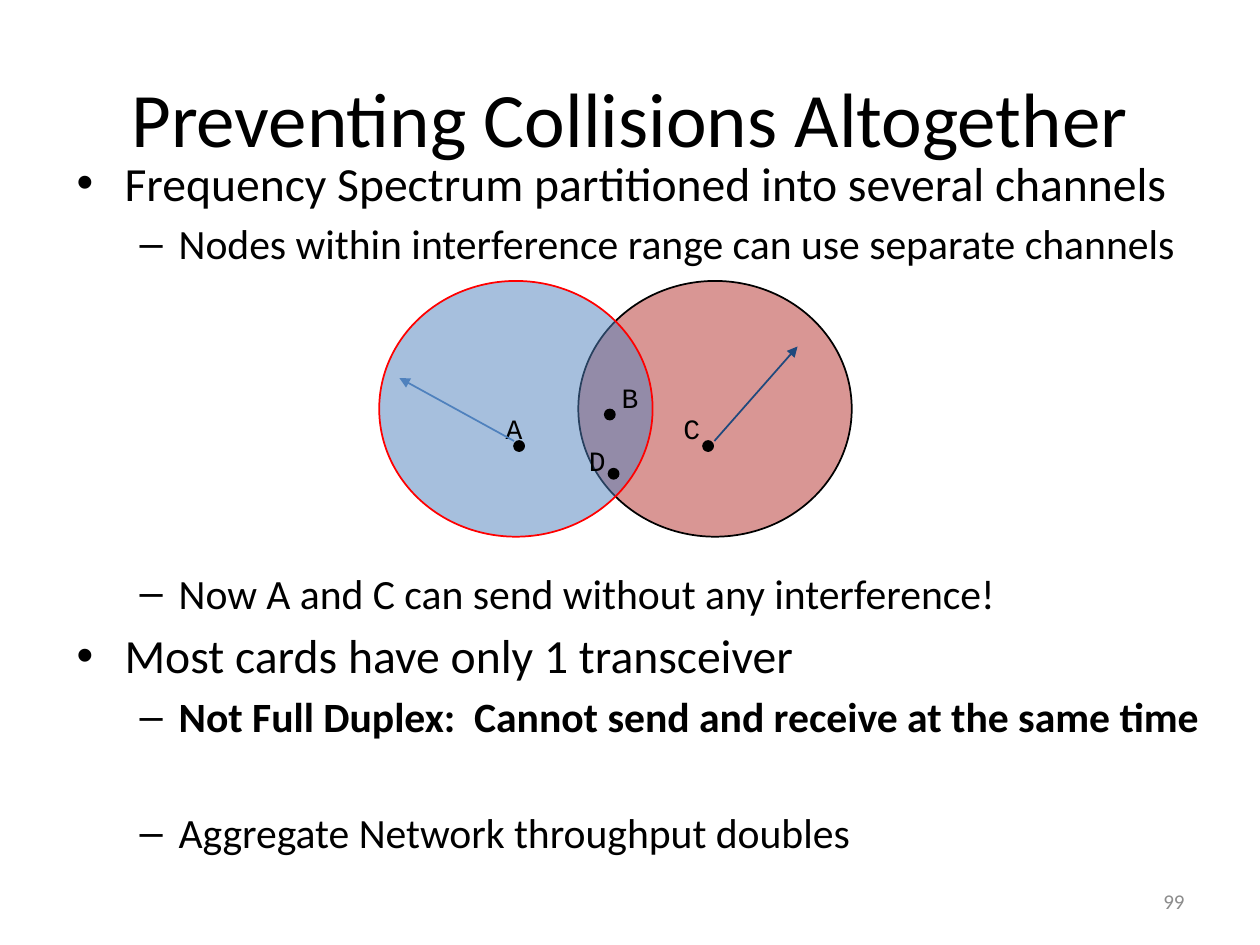
from lxml.etree import SubElement
from pptx import Presentation
from pptx.dml.color import RGBColor
from pptx.enum.shapes import MSO_CONNECTOR, MSO_SHAPE
from pptx.enum.text import MSO_ANCHOR, PP_ALIGN
from pptx.oxml.ns import qn
from pptx.util import Inches, Pt

BLACK = RGBColor(0x00, 0x00, 0x00)
RED = RGBColor(0xFF, 0x00, 0x00)
ROSE = RGBColor(0xD9, 0x96, 0x94)
BLUE = RGBColor(0x4F, 0x81, 0xBD)
NAVY = RGBColor(0x1F, 0x49, 0x7D)
GRAY = RGBColor(0x8C, 0x8C, 0x8C)

# Content
TITLE = "Preventing Collisions Altogether"
PAGE_NUMBER = "99"
BULLETS = [  # level, text, space before in points, bold
    (0, "Frequency Spectrum partitioned into several channels", 0, False),
    (1, "Nodes within interference range can use separate channels", 4.3, False),
    (1, "Now A and C can send without any interference!", 171, False),
    (0, "Most cards have only 1 transceiver", 4.9, False),
    (1, "Not Full Duplex:  Cannot send and receive at the same time", 4.3, True),
    (1, "Aggregate Network throughput doubles", 37.8, False),
]
LEVELS = [("•", 0.38, 0.38, 27.2), ("–", 0.81, 0.31, 23.8)]  # mark, indent, hang, size
RANGES = [(4.59, ROSE, BLACK, None), (3.01, BLUE, RED, 50)]  # left, fill, line, opacity
NODES = [  # name, dot position, label position
    ("A", (4.08, 3.5), (3.9, 3.22)),
    ("B", (4.8, 3.25), (4.82, 2.97)),
    ("C", (5.58, 3.5), (5.31, 3.22)),
    ("D", (4.83, 3.72), (4.56, 3.47)),
]
RADII = [((5.67, 3.5), (6.33, 2.75), NAVY), ((4.08, 3.5), (3.17, 3), BLUE)]
DOT_SIZE = 0.08
LABEL_SIZE = 0.36

presentation = Presentation()
presentation.slide_width, presentation.slide_height = Inches(10), Inches(7.5)
slide = presentation.slides.add_slide(presentation.slide_layouts[6])


def style_font(font, size, color=BLACK, name="Calibri", bold=False):
    font.size, font.name, font.bold = Pt(size), name, bold
    font.color.rgb = color


def add_text(text, box, size, align, color=BLACK, name="Calibri",
             anchor=MSO_ANCHOR.MIDDLE, wrap=True):
    text_frame = slide.shapes.add_textbox(*map(Inches, box)).text_frame
    text_frame.word_wrap = wrap
    text_frame.vertical_anchor = anchor
    text_frame.text = text
    paragraph = text_frame.paragraphs[0]
    paragraph.alignment = align
    style_font(paragraph.runs[0].font, size, color, name)


def add_ellipse(left, top, width, height, fill, line, opacity=None):
    shape = slide.shapes.add_shape(
        MSO_SHAPE.OVAL, *map(Inches, (left, top, width, height)))
    shape.shadow.inherit = False
    shape.fill.solid()
    shape.fill.fore_color.rgb = fill
    shape.line.color.rgb = line
    shape.line.width = Pt(1)
    if opacity is not None:
        color = shape.fill._xPr.find(qn("a:solidFill"))[0]
        SubElement(color, qn("a:alpha"), val=str(opacity * 1000))


def add_arrow(start, end, color):
    connector = slide.shapes.add_connector(
        MSO_CONNECTOR.STRAIGHT, *map(Inches, start + end))
    connector.line.color.rgb = color
    connector.line.width = Pt(1)
    SubElement(connector.line._get_or_add_ln(), qn("a:tailEnd"), type="triangle")
    SubElement(connector._element.spPr, qn("a:effectLst"))


# Title and bullet list
add_text(TITLE, (0.5, 0.3, 9, 1.25), 44, PP_ALIGN.CENTER)
body = slide.shapes.add_textbox(*map(Inches, (0.51, 1.17, 9.25, 6.17))).text_frame
body.word_wrap = True
body.text = "\n".join(text for _, text, _, _ in BULLETS)
for paragraph, (level, _, space, bold) in zip(body.paragraphs, BULLETS):
    mark, indent, hang, size = LEVELS[level]
    paragraph.level = level
    paragraph.space_before = Pt(space)
    properties = paragraph._p.get_or_add_pPr()
    properties.set("marL", str(Inches(indent)))
    properties.set("indent", str(-Inches(hang)))
    SubElement(properties, qn("a:buFont"), typeface="Arial")
    SubElement(properties, qn("a:buChar"), char=mark)
    style_font(paragraph.runs[0].font, size, bold=bold)

# Overlapping interference ranges
for left, fill, line, opacity in RANGES:
    add_ellipse(left, 2.23, 2.17, 2.03, fill, line, opacity)

# Nodes and their labels
for name, dot, label in NODES:
    add_ellipse(*dot, DOT_SIZE, DOT_SIZE, BLACK, BLACK)
    add_text(name, (*label, LABEL_SIZE, LABEL_SIZE), 16, PP_ALIGN.CENTER,
             name="Courier New", anchor=MSO_ANCHOR.TOP, wrap=False)

# Range arrows
for start, end, color in RADII:
    add_arrow(start, end, color)

# Slide number
add_text(PAGE_NUMBER, (7.17, 6.95, 2.33, 0.4), 12, PP_ALIGN.RIGHT, GRAY)

presentation.save("out.pptx")
